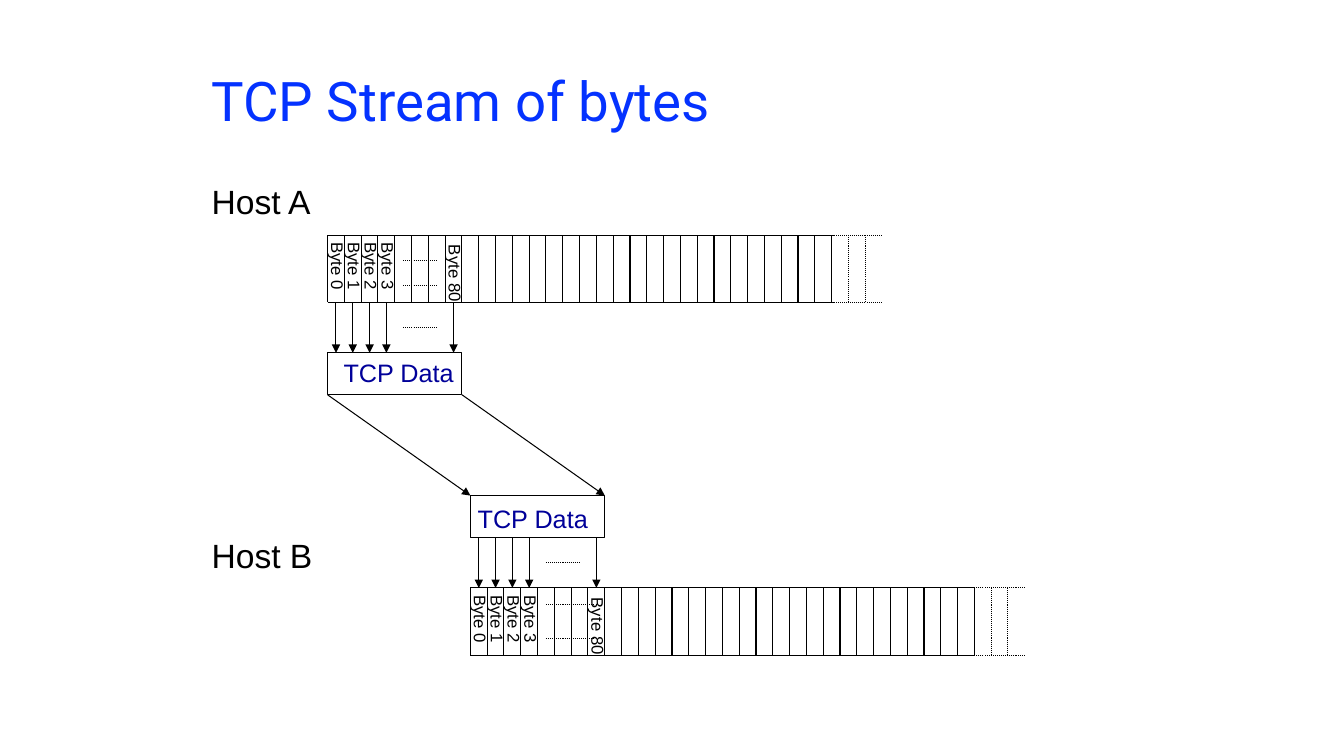
from dataclasses import dataclass

from lxml.etree import SubElement
from pptx import Presentation
from pptx.dml.color import RGBColor
from pptx.enum.dml import MSO_LINE_DASH_STYLE as Dash
from pptx.enum.shapes import MSO_CONNECTOR as Connector, MSO_SHAPE as Shape
from pptx.enum.text import MSO_ANCHOR as Anchor, MSO_AUTO_SIZE as AutoSize
from pptx.oxml.ns import qn
from pptx.util import Inches, Pt

COLUMNS, ROWS = 80, 45
BLACK, WHITE, NAVY, BLUE = "000000", "FFFFFF", "000099", "0432FF"
SOLID_CELLS, ALL_CELLS, CELL_ROWS = 30, 33, 4
BOX_COLUMNS, BOX_ROWS = 8, 2.5
BYTES = {0: "Byte 0", 1: "Byte 1", 2: "Byte 2", 3: "Byte 3", 7: "Byte 80"}

presentation = Presentation()
presentation.slide_width = Inches(13.33)
presentation.slide_height = Inches(7.5)
slide = presentation.slides.add_slide(presentation.slide_layouts[6])


@dataclass(frozen=True)
class Dots:
    row: float
    columns: float = 2


@dataclass(frozen=True)
class Host:
    name: str
    name_row: float
    column: float
    stream_row: float
    box_row: float
    caption_column: float
    caption_row: float
    arrow_row: float
    dots: tuple[Dots, ...]


HOSTS = (
    Host("Host A", 10.5, 19.5, 14, 21, 19.86, 21, 18,
         (Dots(15.5), Dots(17), Dots(19.5))),
    Host("Host B", 31.56, 28, 35, 29.5, 27.84, 29.64, 32,
         (Dots(33.5), Dots(36, 3), Dots(38, 3))),
)


def across(columns: float) -> int:
    return round(presentation.slide_width * columns / COLUMNS)


def down(rows: float) -> int:
    return round(presentation.slide_height * rows / ROWS)


def color(value: str) -> RGBColor:
    return RGBColor.from_string(value)


def add_line(start: tuple[float, float], end: tuple[float, float],
             dotted: bool = False, arrow: bool = False) -> None:
    connector = slide.shapes.add_connector(
        Connector.STRAIGHT, across(start[0]), down(start[1]),
        across(end[0]), down(end[1]))
    connector.line.color.rgb = color(BLACK)
    connector.line.width = Pt(0.75)
    if dotted:
        connector.line.dash_style = Dash.ROUND_DOT
    properties = connector.element.spPr
    if arrow:
        SubElement(properties.find(qn("a:ln")), qn("a:tailEnd"), type="triangle")
    SubElement(properties, qn("a:effectLst"))


def add_text(text: str, column: float, row: float, columns: float, rows: float,
             size: float, hex_color: str = BLACK, font: str = "Arial",
             rotation: float = 0, anchor: Anchor = Anchor.TOP) -> None:
    box = slide.shapes.add_textbox(across(column), down(row), across(columns), down(rows))
    box.rotation = rotation
    frame = box.text_frame
    frame.text = text
    frame.word_wrap = False
    frame.auto_size = AutoSize.NONE
    frame.vertical_anchor = anchor
    run_font = frame.paragraphs[0].runs[0].font
    run_font.name = font
    run_font.size = Pt(size)
    run_font.color.rgb = color(hex_color)


def add_stream(host: Host) -> None:
    left, top, bottom = host.column, host.stream_row, host.stream_row + CELL_ROWS
    for row in (top, bottom):
        add_line((left, row), (left + SOLID_CELLS, row))
        add_line((left + ALL_CELLS, row), (left + SOLID_CELLS, row), dotted=True)
    for cell in range(ALL_CELLS):
        add_line((left + cell, top), (left + cell, bottom), dotted=cell > SOLID_CELLS)
    for cell, label in BYTES.items():
        wide = len(label) > len("Byte 0")
        width, middle = (4.62, 2.3) if wide else (4.08, 1.87)
        add_text(label, left + cell + 0.6 - width / 2, top + middle - 0.9,
                 width, 1.8, 12, rotation=89.8)


def add_segment(host: Host) -> None:
    box = slide.shapes.add_shape(
        Shape.RECTANGLE, across(host.column), down(host.box_row),
        across(BOX_COLUMNS), down(BOX_ROWS))
    box.shadow.inherit = False
    box.fill.solid()
    box.fill.fore_color.rgb = color(WHITE)
    box.line.color.rgb = color(BLACK)
    box.line.width = Pt(0.75)
    add_text("TCP Data", host.caption_column, host.caption_row, 7.86, 2.4, 18, NAVY)
    for cell in BYTES:
        column = host.column + cell + 0.5
        add_line((column, host.arrow_row), (column, host.arrow_row + 3), arrow=True)


def add_host(host: Host) -> None:
    add_text(host.name, 12, host.name_row, 7.2, 3, 24)
    add_stream(host)
    add_segment(host)
    for dots in host.dots:
        start = host.column + 4.5
        add_line((start, dots.row), (start + dots.columns, dots.row), dotted=True)


def main() -> None:
    add_text("TCP Stream of bytes", 12, 0.5, 57.5, 7.7, 39, BLUE, "Roboto",
             anchor=Anchor.BOTTOM)
    for host in HOSTS:
        add_host(host)
    sender, receiver = HOSTS
    for offset in (0, BOX_COLUMNS):
        add_line((sender.column + offset, sender.box_row + BOX_ROWS),
                 (receiver.column + offset, receiver.box_row), arrow=True)
    presentation.save("out.pptx")


if __name__ == "__main__":
    main()
